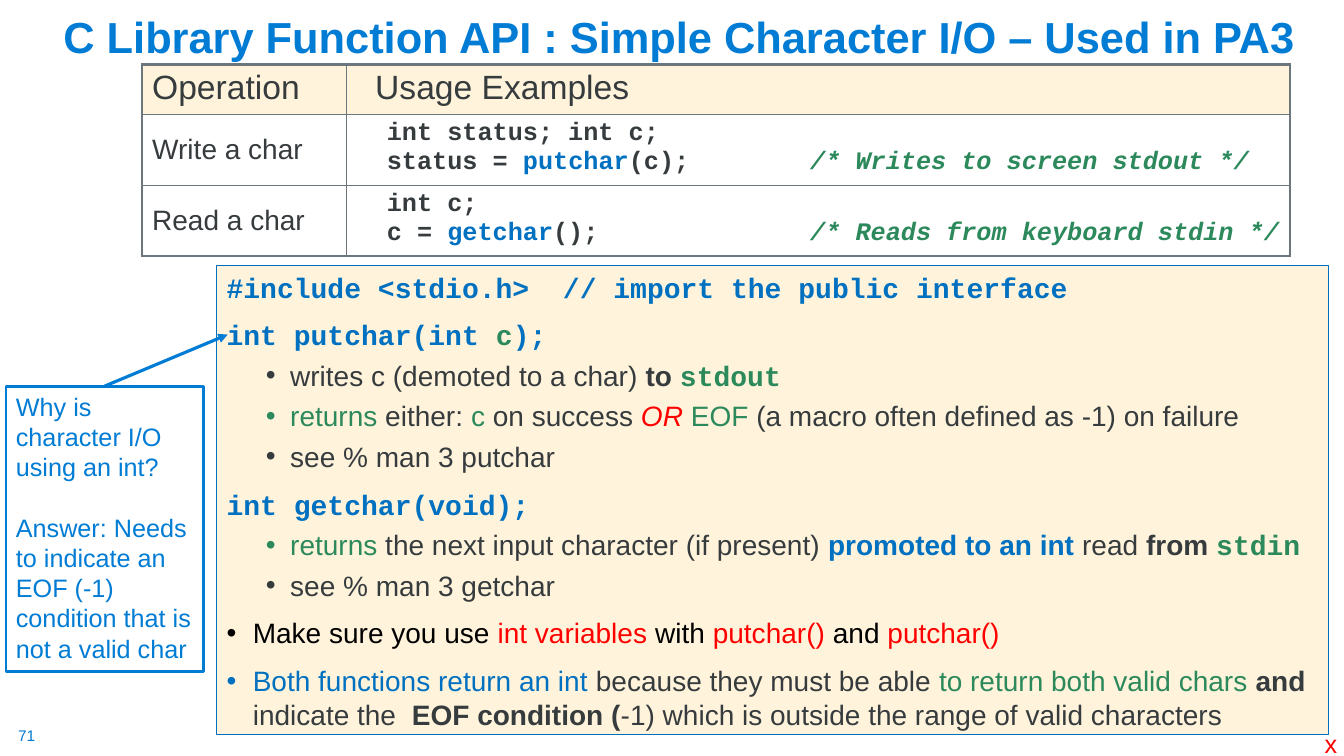
import pptx
import pptx.util
import pptx.dml.color
import pptx.enum.shapes
import pptx.enum.text
import pptx.oxml
import pptx.oxml.ns
import lxml.etree

Pt = pptx.util.Pt
ANCHOR = pptx.enum.text.MSO_ANCHOR
COLORS = {
    "title": "007CD5", "blue": "0070C0", "green": "2C895B", "dark": "363B3E",
    "red": "FF0000", "black": "000000", "cream": "FFF4DB", "white": "FFFFFF",
    "border": "6B767D",
}
SANS, CODE = "Arial", "Courier New"


def rgb(name):
    """Return the named colour."""
    return pptx.dml.color.RGBColor.from_string(COLORS[name])


def add_child(parent, tag, **attributes):
    """Append an XML element with the given attributes."""
    child = lxml.etree.SubElement(parent, pptx.oxml.ns.qn(tag))
    for key, value in attributes.items():
        child.set(key, str(value))
    return child


def add_runs(paragraph, runs, size, font=SANS):
    """Add (text, colour, style) runs; style letters are b, i and c for code."""
    for text, color, style in runs:
        run = paragraph.add_run()
        run.text = text
        run.font.size = Pt(size)
        run.font.name = CODE if "c" in style else font
        run.font.bold = "b" in style
        run.font.italic = "i" in style
        run.font.color.rgb = rgb(color)


def indent(paragraph, left, hanging, color):
    """Give a paragraph a round bullet with a hanging indent."""
    properties = paragraph._p.get_or_add_pPr()
    properties.set("marL", str(Pt(left)))
    properties.set("indent", str(-Pt(hanging)))
    bullet_color = add_child(properties, "a:buClr")
    add_child(bullet_color, "a:srgbClr", val=COLORS[color])
    add_child(properties, "a:buFont", typeface=SANS)
    add_child(properties, "a:buChar", char="•")


def add_panel(slide, box, fill, line, width):
    """Add a bordered rectangle with top-left text and return it."""
    panel = slide.shapes.add_shape(
        pptx.enum.shapes.MSO_SHAPE.RECTANGLE, *map(Pt, box))
    panel.shadow.inherit = False
    panel.fill.solid()
    panel.fill.fore_color.rgb = rgb(fill)
    panel.line.color.rgb = rgb(line)
    panel.line.width = Pt(width)
    panel.text_frame.word_wrap = True
    panel.text_frame.vertical_anchor = ANCHOR.TOP
    return panel


def add_label(slide, box, text, size, color, style="", margin=0, anchor=ANCHOR.TOP):
    """Add a one-line text box."""
    frame = slide.shapes.add_textbox(*map(Pt, box)).text_frame
    frame.word_wrap = False
    frame.vertical_anchor = anchor
    frame.margin_left = frame.margin_right = Pt(margin)
    frame.margin_top = frame.margin_bottom = Pt(margin / 2)
    add_runs(frame.paragraphs[0], [(text, color, style)], size)
    return frame


def style_cell(cell, fill, edges):
    """Fill a cell and draw its borders, given as widths by side."""
    properties = cell._tc.get_or_add_tcPr()
    for side, width in edges.items():
        border = add_child(properties, f"a:ln{side}", w=Pt(width))
        solid = add_child(border, "a:solidFill")
        add_child(solid, "a:srgbClr", val=COLORS["border"])
    cell.fill.solid()
    cell.fill.fore_color.rgb = rgb(fill)


def add_usage_table(slide, box):
    """Add the table of operations and usage examples."""
    left, top, width, height = box
    rows = [
        ("Operation", [[("Usage Examples", "dark", "")]]),
        ("Write a char", [
            [("int status; int c;", "dark", "bc")],
            [("status = ", "dark", "bc"), ("putchar", "blue", "bc"),
             ("(c);\t", "dark", "bc"),
             ("/* Writes to screen stdout */", "green", "bci")]]),
        ("Read a char", [
            [("int c;", "dark", "bc")],
            [("c = ", "dark", "bc"), ("getchar", "blue", "bc"),
             ("();\t", "dark", "bc"),
             ("/* Reads from keyboard stdin */", "green", "bci")]]),
    ]
    table = slide.shapes.add_table(3, 2, Pt(left), Pt(top), Pt(width), Pt(height)).table
    table.columns[0].width = Pt(146)
    table.columns[1].width = Pt(width - 146)
    for index, (operation, lines) in enumerate(rows):
        header = index == 0
        table.rows[index].height = Pt(36 if header else (height - 36) / 2)
        name, usage = table.cell(index, 0), table.cell(index, 1)
        for column, cell in enumerate((name, usage)):
            style_cell(cell, "cream" if header else "white", {
                "L": 1 if column else 2.25, "R": 2.25 if column else 1,
                "T": 2.25 if header else 1, "B": 2.25 if index == 2 else 1})
        name.vertical_anchor = ANCHOR.TOP if header else ANCHOR.MIDDLE
        add_runs(name.text_frame.paragraphs[0], [(operation, "dark", "")],
                 24 if header else 20)
        usage.margin_left = Pt(20.5 if header else 28.8)
        usage.margin_right = Pt(2)
        for number, runs in enumerate(lines):
            frame = usage.text_frame
            paragraph = frame.add_paragraph() if number else frame.paragraphs[0]
            tabs = add_child(paragraph._p.get_or_add_pPr(), "a:tabLst")
            add_child(tabs, "a:tab", pos=Pt(302.4), algn="l")
            add_runs(paragraph, runs, 24 if header else 18)


def add_interface(slide, box):
    """Add the panel that describes the two functions."""
    paragraphs = [
        (0, [("#include <stdio.h>  // import the public interface", "blue", "bc")]),
        (0, [("int putchar(int ", "blue", "bc"), ("c", "green", "bc"),
             (");", "blue", "bc")]),
        (2, [("writes c (demoted to a char) ", "dark", ""), ("to ", "dark", "b"),
             ("stdout", "green", "bc")]),
        (2, [("returns", "green", ""), (" either: ", "dark", ""), ("c", "green", ""),
             (" on success ", "dark", ""), ("OR ", "red", "i"), ("EOF", "green", ""),
             (" (a macro often defined as -1) on failure", "dark", "")]),
        (2, [("see % man 3 putchar", "dark", "")]),
        (0, [("int getchar(void);", "blue", "bc")]),
        (2, [("returns", "green", ""),
             (" the next input character (if present) ", "dark", ""),
             ("promoted to an int ", "blue", "b"), ("read ", "dark", ""),
             ("from\u00a0", "dark", "b"), ("stdin", "green", "bc")]),
        (2, [("see % man 3 getchar", "dark", "")]),
        (1, [("Make sure you use ", "black", ""), ("int variables ", "red", ""),
             ("with ", "black", ""), ("putchar() ", "red", ""),
             ("and ", "black", ""), ("putchar()", "red", "")]),
        (1, [("Both functions return an int ", "blue", ""),
             ("because they must be able ", "dark", ""),
             ("to return both valid chars ", "green", ""), ("and", "dark", "b"),
             (" indicate the  ", "dark", ""), ("EOF condition (", "dark", "b"),
             ("-1) which is outside the range of valid characters", "dark", "")]),
    ]
    frame = add_panel(slide, box, "cream", "blue", 0.75).text_frame
    for index, (level, runs) in enumerate(paragraphs):
        paragraph = frame.add_paragraph() if index else frame.paragraphs[0]
        paragraph.alignment = pptx.enum.text.PP_ALIGN.LEFT
        paragraph.space_before = Pt(5 if level == 2 else 10)
        if level:
            indent(paragraph, *((18.7, 18.7) if level == 1 else (45.4, 17.3)), runs[0][1])
        add_runs(paragraph, runs, 20)


def add_question(slide, box, target):
    """Add the question box and its arrow to the target point."""
    left, top, width, _ = box
    arrow = slide.shapes.add_connector(
        pptx.enum.shapes.MSO_CONNECTOR.STRAIGHT,
        Pt(left + width / 2), Pt(top), *map(Pt, target))
    arrow.line.color.rgb = rgb("title")
    arrow.line.width = Pt(2.25)
    add_child(arrow.line._get_or_add_ln(), "a:tailEnd", type="triangle")
    add_child(arrow._element.spPr, "a:effectLst")
    frame = add_panel(slide, box, "white", "title", 2).text_frame
    texts = ["Why is character I/O using an int?",
             "Answer: Needs to indicate an EOF (-1) condition that is not a valid char"]
    for index, text in enumerate(texts):
        paragraph = frame.add_paragraph() if index else frame.paragraphs[0]
        paragraph.alignment = pptx.enum.text.PP_ALIGN.LEFT
        paragraph.space_before = Pt(21.6 * index)
        add_runs(paragraph, [(text, "title", "")], 18)


def main():
    """Build and save the slide."""
    presentation = pptx.Presentation()
    presentation.slide_width, presentation.slide_height = Pt(960), Pt(540)
    slide = presentation.slides.add_slide(presentation.slide_layouts[6])
    add_label(slide, (13, 519, 14, 14), "71", 11, "title")
    add_interface(slide, (154.8, 189.4, 794.2, 335.5))
    title = add_label(slide, (38.2, 6.5, 898.5, 41.8),
                      "C Library Function API : Simple Character I/O – Used in PA3",
                      31, "title", "b", 7.2, ANCHOR.BOTTOM)
    title.word_wrap = True
    title.paragraphs[0].line_spacing = 0.9
    add_usage_table(slide, (101.5, 46, 820, 132))
    add_label(slide, (939, 517, 24, 29), "x", 18, "red", margin=7.2)
    add_question(slide, (4.3, 275.8, 141, 203.8), (162.7, 239))
    presentation.save("out.pptx")


if __name__ == "__main__":
    main()
